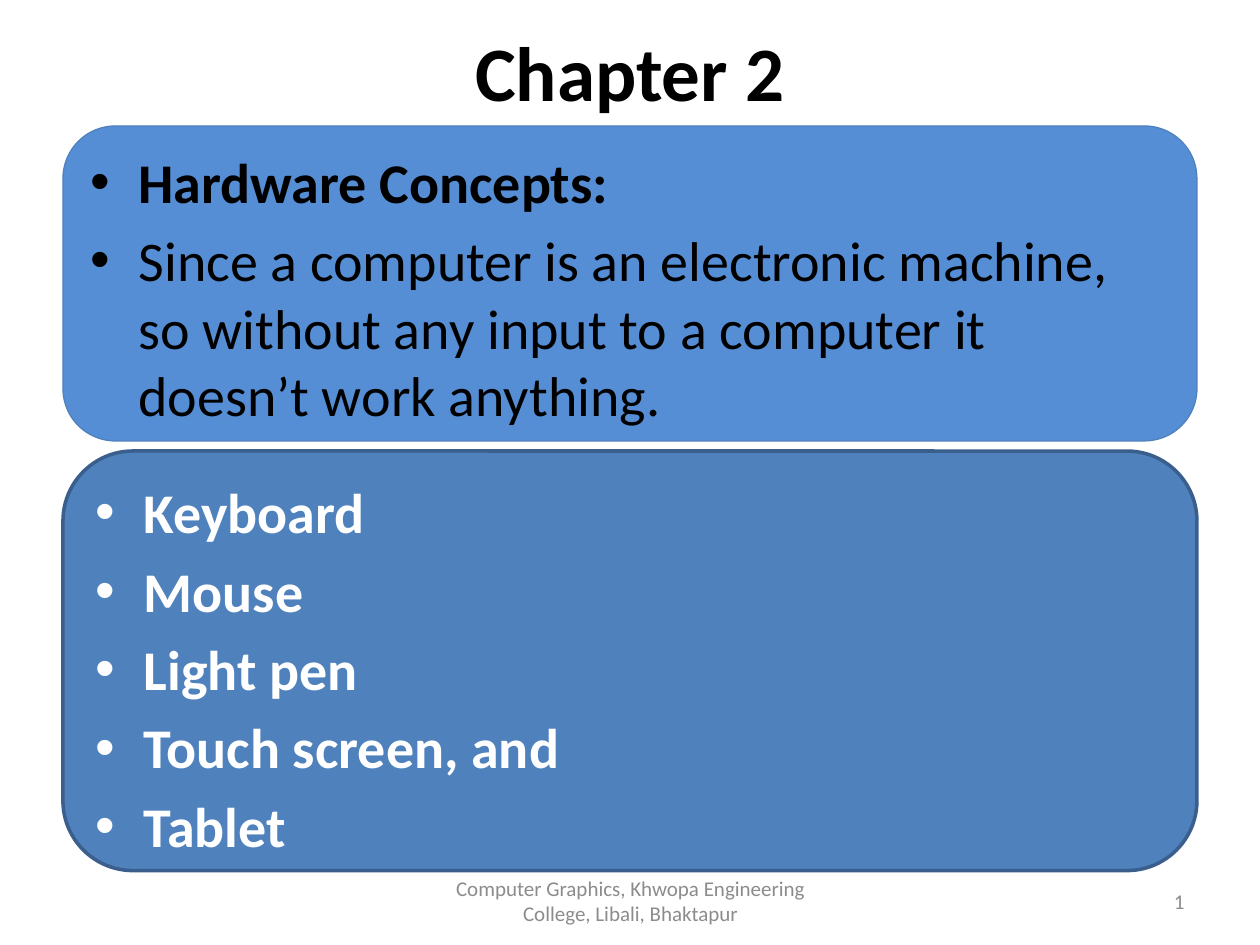
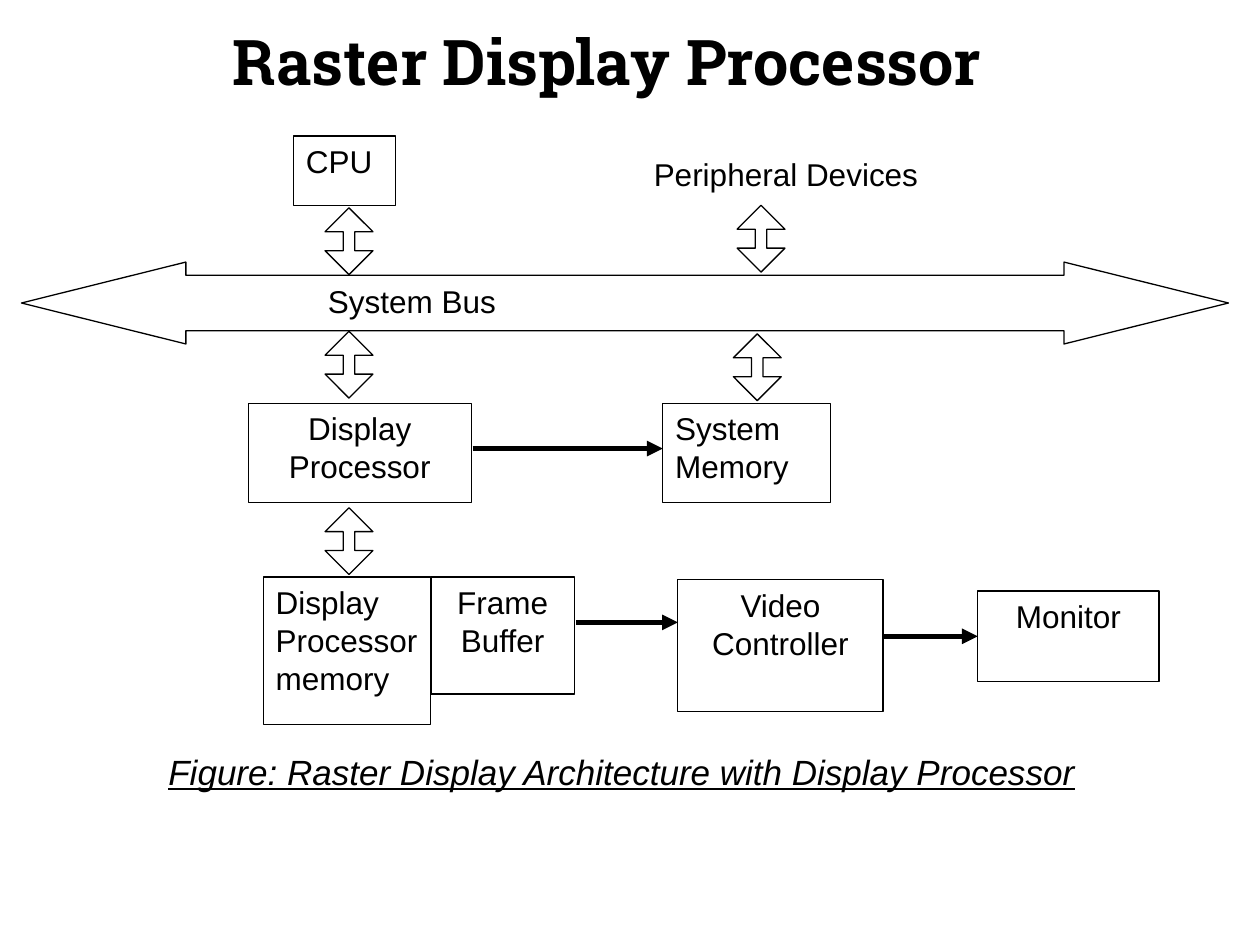
import pptx
import pptx.dml.color
import pptx.enum.shapes
import pptx.enum.text
import pptx.oxml.ns
import pptx.util
from lxml import etree

Inches = pptx.util.Inches
Pt = pptx.util.Pt
RGBColor = pptx.dml.color.RGBColor
SHAPE = pptx.enum.shapes.MSO_SHAPE
ALIGN = pptx.enum.text.PP_ALIGN
ANCHOR = pptx.enum.text.MSO_ANCHOR
qn = pptx.oxml.ns.qn

BLACK = RGBColor(0x00, 0x00, 0x00)
WHITE = RGBColor(0xFF, 0xFF, 0xFF)
GREY = RGBColor(0x8C, 0x8C, 0x8C)
SKY_BLUE = RGBColor(0x55, 0x8E, 0xD5)
BLUE = RGBColor(0x4F, 0x81, 0xBD)
DARK_BLUE = RGBColor(0x3A, 0x5F, 0x8C)

CHAPTER_TITLE = {"name": "Calibri", "size": Pt(44), "bold": True}
DIAGRAM_TITLE = {"name": "Roboto Slab", "size": Pt(36), "bold": True}
BODY = {"name": "Calibri", "size": Pt(32)}
FOOTER = {"name": "Calibri", "size": Pt(12)}
LABEL = {"name": "Arial", "size": Pt(18)}
CAPTION = {"name": "Arial", "size": Pt(20), "italic": True, "underline": True}


def set_format(font, style, color):
    for name, value in style.items():
        setattr(font, name, value)
    font.color.rgb = color


def write(box, text, style, color=BLACK, align=ALIGN.LEFT, anchor=ANCHOR.TOP, wrap=True):
    frame = box.text_frame
    frame.word_wrap = wrap
    frame.vertical_anchor = anchor
    para = frame.paragraphs[0]
    para.alignment = align
    span = para.add_run()
    span.text = text
    set_format(span.font, style, color)


def add_text(page, place, text, style, **options):
    box = page.shapes.add_textbox(*map(Inches, place))
    write(box, text, style, **options)


def add_panel(page, kind, place, fill=WHITE, line=BLACK, width=0.75, adjustments=()):
    panel = page.shapes.add_shape(kind, *map(Inches, place))
    panel.shadow.inherit = False
    panel.fill.solid()
    panel.fill.fore_color.rgb = fill
    panel.line.color.rgb = line
    panel.line.width = Pt(width)
    for index, value in enumerate(adjustments):
        panel.adjustments[index] = value
    return panel


def add_bullets(panel, items, color):
    frame = panel.text_frame
    frame.word_wrap = True
    frame.vertical_anchor = ANCHOR.TOP
    for index, (text, bold) in enumerate(items):
        para = frame.add_paragraph() if index else frame.paragraphs[0]
        para.alignment = ALIGN.LEFT
        if index:
            para.space_before = Pt(6.4)
        properties = para._p.get_or_add_pPr()
        properties.set("marL", str(Inches(0.38)))
        properties.set("indent", str(-Inches(0.38)))
        etree.SubElement(properties, qn("a:buFont"), typeface="Arial")
        etree.SubElement(properties, qn("a:buChar"), char="•")
        span = para.add_run()
        span.text = text
        set_format(span.font, {**BODY, "bold": bold}, color)


def add_block(page, place, text, align=ALIGN.CENTER):
    block = add_panel(page, SHAPE.RECTANGLE, place)
    write(block, text, LABEL, align=align)
    return block


def add_link(page, left, right, top):
    link = page.shapes.add_connector(
        pptx.enum.shapes.MSO_CONNECTOR.STRAIGHT,
        Inches(left), Inches(top), Inches(right), Inches(top))
    link.line.color.rgb = BLACK
    link.line.width = Pt(3)
    etree.SubElement(link.line._get_or_add_ln(), qn("a:tailEnd"), type="triangle")
    etree.SubElement(link._element.spPr, qn("a:effectLst"))
    return link


def add_footer(page, number):
    add_text(page, (3.42, 6.95, 3.17, 0.4),
             "Computer Graphics, Khwopa Engineering College, Libali, Bhaktapur",
             FOOTER, color=GREY, align=ALIGN.CENTER, anchor=ANCHOR.MIDDLE)
    add_text(page, (7.17, 6.95, 2.33, 0.4), str(number),
             FOOTER, color=GREY, align=ALIGN.RIGHT, anchor=ANCHOR.MIDDLE)


def build_chapter(page):
    add_text(page, (0.5, 0.08, 9, 0.97), "Chapter 2", CHAPTER_TITLE,
             align=ALIGN.CENTER, anchor=ANCHOR.MIDDLE)
    concepts = add_panel(page, SHAPE.ROUNDED_RECTANGLE, (0.5, 1, 9, 2.5), SKY_BLUE, BLUE)
    add_bullets(concepts, [
        ("Hardware Concepts:", True),
        ("Since a computer is an electronic machine, so without any input "
         "to a computer it doesn’t work anything.", False),
    ], BLACK)
    add_footer(page, 1)
    devices = add_panel(page, SHAPE.ROUNDED_RECTANGLE, (0.5, 3.58, 9, 3.33),
                        BLUE, DARK_BLUE, 2)
    names = ["Keyboard", "Mouse", "Light pen", "Touch screen, and", "Tablet"]
    add_bullets(devices, [(name, True) for name in names], WHITE)


def build_architecture(page):
    bus = add_panel(page, SHAPE.LEFT_RIGHT_ARROW, (0.17, 2.08, 9.58, 0.65),
                    adjustments=(0.676, 2.008))
    write(bus, "System Bus", LABEL)
    bus.text_frame.margin_left = Inches(1.55)

    for left, top in [(2.58, 1.65), (2.58, 2.63), (2.58, 4.03), (5.85, 1.63), (5.82, 2.65)]:
        add_panel(page, SHAPE.UP_DOWN_ARROW, (left, top, 0.38, 0.53),
                  adjustments=(0.5, 0.24))

    add_block(page, (2.33, 1.08, 0.81, 0.55), "CPU", ALIGN.LEFT)
    add_text(page, (5.09, 1.18, 2.51, 0.49), "Peripheral Devices", LABEL)
    add_block(page, (1.97, 3.2, 1.77, 0.79), "Display Processor")
    add_block(page, (5.26, 3.2, 1.33, 0.79), "System Memory", ALIGN.LEFT)
    add_block(page, (2.09, 4.58, 1.33, 1.17), "Display Processor memory", ALIGN.LEFT)
    add_block(page, (3.42, 4.58, 1.14, 0.93), "Frame Buffer")
    add_block(page, (5.38, 4.6, 1.63, 1.05), "Video Controller")
    monitor = add_block(page, (7.76, 4.69, 1.44, 0.72), "Monitor")

    add_link(page, 3.75, 5.26, 3.56)
    add_link(page, 4.57, 5.38, 4.94)
    add_link(page, 7.01, 7.76, 5.05).end_connect(monitor, 1)

    add_text(page, (1.21, 5.9, 7.45, 0.44),
             "Figure: Raster Display Architecture with Display Processor",
             CAPTION, align=ALIGN.CENTER, anchor=ANCHOR.MIDDLE, wrap=False)
    add_text(page, (1.75, 0.13, 6.58, 0.71), "Raster Display Processor",
             DIAGRAM_TITLE, wrap=False)


def main():
    deck = pptx.Presentation()
    deck.slide_width = Inches(10)
    deck.slide_height = Inches(7.5)
    for build in (build_chapter, build_architecture):
        build(deck.slides.add_slide(deck.slide_layouts[6]))
    deck.save("out.pptx")


if __name__ == "__main__":
    main()
